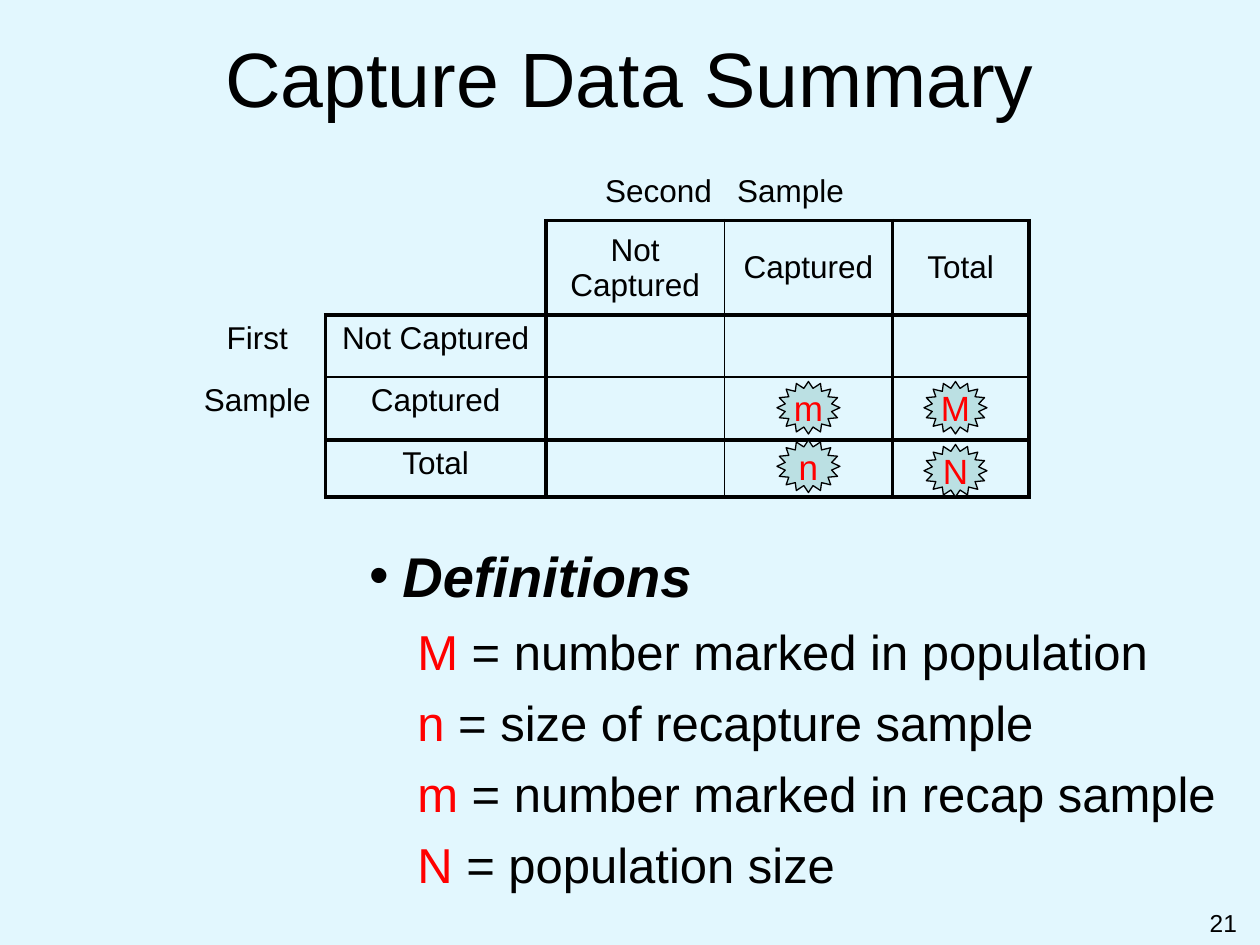
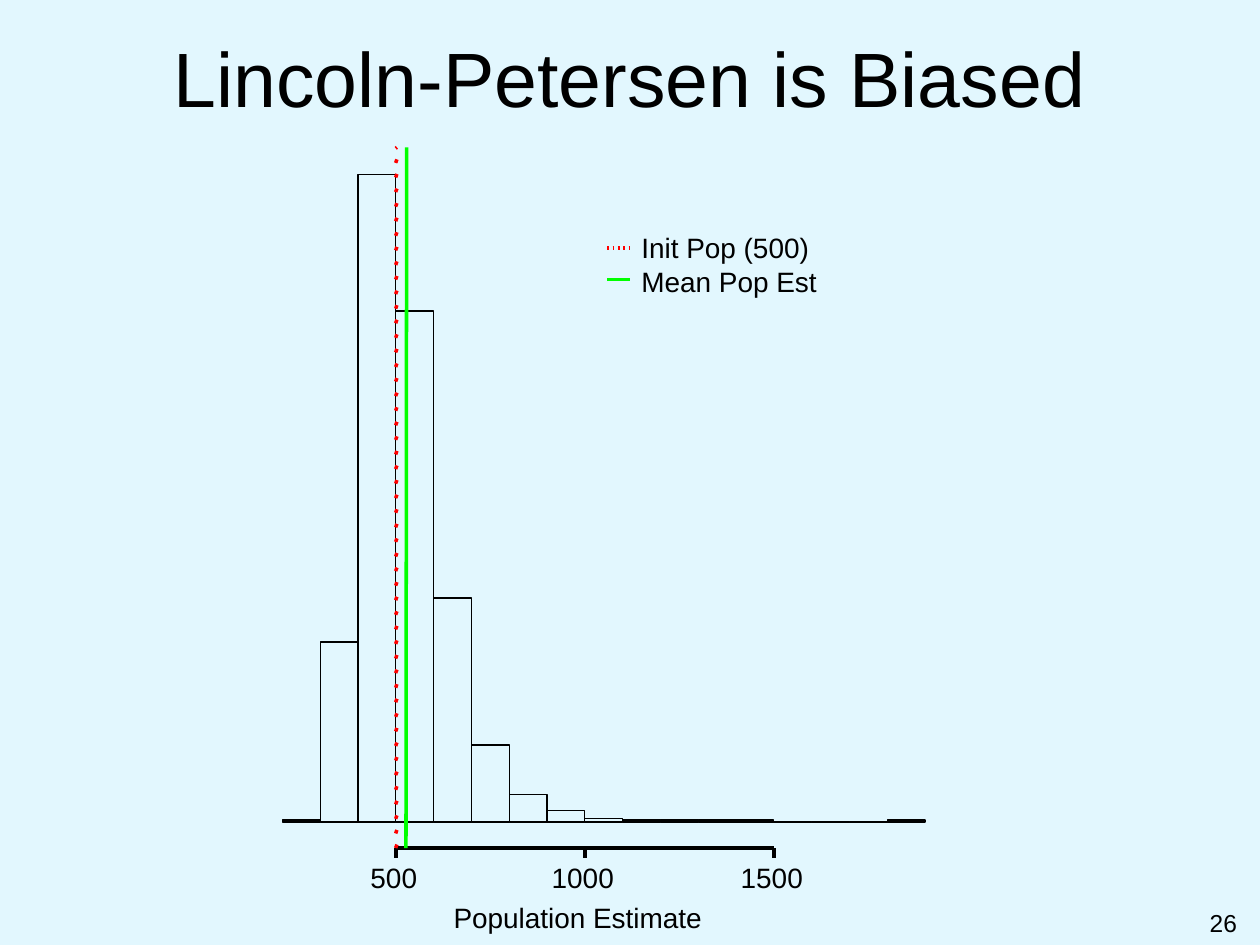
from lxml import etree
from pptx import Presentation
from pptx.dml.color import RGBColor
from pptx.enum.shapes import MSO_CONNECTOR, MSO_SHAPE
from pptx.enum.text import MSO_ANCHOR, MSO_AUTO_SIZE, PP_ALIGN
from pptx.oxml.ns import qn
from pptx.util import Pt

LEFT, CENTER, RIGHT = PP_ALIGN.LEFT, PP_ALIGN.CENTER, PP_ALIGN.RIGHT
TOP, MIDDLE = MSO_ANCHOR.TOP, MSO_ANCHOR.MIDDLE
FIXED_SIZE = MSO_AUTO_SIZE.NONE
STRAIGHT = MSO_CONNECTOR.STRAIGHT
STAR, RECTANGLE = MSO_SHAPE.STAR_16_POINT, MSO_SHAPE.RECTANGLE

FONT = "Arial"
BACKGROUND, BLACK, RED, GREEN, TEAL = "E2F7FE", "000000", "FF0000", "00FF00", "BBE0E3"
PLAIN_TABLE = "{2D5ABB26-0587-4C30-8999-92F81FD0307C}"
TITLE_AND_BODY, TITLE_ONLY = 1, 5


def color(hex_string):
    return RGBColor.from_string(hex_string)


def points(*lengths):
    return [Pt(length) for length in lengths]


def format_font(font, size, hex_string=BLACK):
    font.name, font.size = FONT, Pt(size)
    font.color.rgb = color(hex_string)


class Deck:
    """Holds the shared style and the slide being built."""

    def __init__(self):
        self.presentation = Presentation()
        self.presentation.slide_width, self.presentation.slide_height = points(720, 540)
        fill = self.presentation.slide_master.background.fill
        fill.solid()
        fill.fore_color.rgb = color(BACKGROUND)
        self.slide = None

    def add_slide(self, layout, title, number):
        self.slide = self.presentation.slides.add_slide(
            self.presentation.slide_layouts[layout])
        shape = self.slide.shapes.title
        self.place(shape, 5, 9.5, 710, 68.5)
        self.set_text(shape.text_frame, title, 44, CENTER, MIDDLE)
        self.text(number, 666, 515.5, 48, 24.5, 14, RIGHT, inset=(7.2, 3.6))

    def place(self, shape, left, top, width, height):
        shape.left, shape.top, shape.width, shape.height = points(left, top, width, height)

    def set_text(self, frame, text, size, align=LEFT, anchor=TOP, hex_string=BLACK):
        frame.auto_size = FIXED_SIZE
        frame.vertical_anchor = anchor
        paragraph = frame.paragraphs[0]
        paragraph.text, paragraph.alignment = text, align
        format_font(paragraph.font, size, hex_string)

    def text(self, text, left, top, width, height, size, align=LEFT, inset=(0, 0)):
        frame = self.slide.shapes.add_textbox(*points(left, top, width, height)).text_frame
        frame.word_wrap = True
        frame.margin_left = frame.margin_right = Pt(inset[0])
        frame.margin_top = frame.margin_bottom = Pt(inset[1])
        self.set_text(frame, text, size, align)

    def shape(self, kind, left, top, width, height, fill=None, line_width=0):
        shape = self.slide.shapes.add_shape(kind, *points(left, top, width, height))
        shape.shadow.inherit = False
        if fill:
            shape.fill.solid()
            shape.fill.fore_color.rgb = color(fill)
        else:
            shape.fill.background()
        shape.line.color.rgb = color(BLACK)
        shape.line.width = Pt(line_width)
        return shape

    def star(self, letter, left, top):
        star = self.shape(STAR, left, top, 36, 30, TEAL, 0.75)
        star.adjustments[0] = 0.375
        star.text_frame.word_wrap = False
        self.set_text(star.text_frame, letter, 20, CENTER, MIDDLE, RED)

    def line(self, start, end, hex_string=BLACK, width=0, shapes=None):
        shapes = shapes or self.slide.shapes
        connector = shapes.add_connector(STRAIGHT, *points(*start, *end))
        connector.line.color.rgb = color(hex_string)
        connector.line.width = Pt(width)
        etree.SubElement(connector._element.spPr, qn("a:effectLst"))

    def border(self, cell, side, width):
        line = etree.SubElement(cell._tc.get_or_add_tcPr(), qn("a:ln" + side),
                                w=str(Pt(width)))
        fill = etree.SubElement(line, qn("a:solidFill"))
        etree.SubElement(fill, qn("a:srgbClr"), val=BLACK)

    def table(self, left, top, widths, heights):
        frame = self.slide.shapes.add_table(
            len(heights), len(widths),
            *points(left, top, sum(widths), sum(heights)))
        table = frame.table
        table.first_row = table.horz_banding = False
        table._tbl.tblPr.find(qn("a:tableStyleId")).text = PLAIN_TABLE
        for column, width in zip(table.columns, widths):
            column.width = Pt(width)
        for row, height in zip(table.rows, heights):
            row.height = Pt(height)
        return table

    def body(self, heading, definitions, left, top, width, height):
        shape = self.slide.placeholders[1]
        self.place(shape, left, top, width, height)
        frame = shape.text_frame
        frame.auto_size = FIXED_SIZE
        paragraph = frame.paragraphs[0]
        paragraph.text = heading
        paragraph.space_before = Pt(0)
        self.bullet(paragraph, 18.7, 18.7, "•")
        format_font(paragraph.font, 32)
        paragraph.font.bold = paragraph.font.italic = True
        for symbol, meaning in definitions:
            paragraph = frame.add_paragraph()
            paragraph.level = 1
            paragraph.space_before = Pt(7)
            self.bullet(paragraph, 44.6, 17.3)
            for text, hex_string in ((symbol, RED), (" = " + meaning, BLACK)):
                run = paragraph.add_run()
                run.text = text
                format_font(run.font, 28, hex_string)

    def bullet(self, paragraph, margin, hanging, character=None):
        properties = paragraph._p.get_or_add_pPr()
        properties.set("marL", str(Pt(margin)))
        properties.set("indent", str(-Pt(hanging)))
        if character:
            etree.SubElement(properties, qn("a:buChar"), char=character)
        else:
            etree.SubElement(properties, qn("a:buNone"))


def in_grid(row, column):
    """The ruled area leaves out the outer labels and the empty corner."""
    return 1 <= row <= 4 and 1 <= column <= 4 and (row, column) != (1, 1)


def edge_width(boundary):
    return 1 if boundary == 3 else 2.25


def capture_summary(deck):
    deck.add_slide(TITLE_AND_BODY, "Capture Data Summary", "21")

    # Capture table
    rows = [
        ["", "", "Second", "Sample", ""],
        ["", "", "Not Captured", "Captured", "Total"],
        ["First", "Not Captured", "", "", ""],
        ["Sample", "Captured", "", "", ""],
        ["", "Total", "", "", ""],
    ]
    heading_alignment = {2: RIGHT, 3: LEFT}
    table = deck.table(108, 96, [78, 126, 102, 96, 78], [30, 54, 35.5, 36, 32.5])
    for r, texts in enumerate(rows):
        for c, text in enumerate(texts):
            cell = table.cell(r, c)
            cell.vertical_anchor = MIDDLE if r == 1 else TOP
            paragraph = cell.text_frame.paragraphs[0]
            paragraph.text = text
            paragraph.alignment = heading_alignment.get(c, CENTER) if r == 0 else CENTER
            format_font(paragraph.font, 18)
            edges = [("L", r, c - 1, c), ("R", r, c + 1, c + 1),
                     ("T", r - 1, c, r), ("B", r + 1, c, r + 1)]
            for side, next_row, next_column, boundary in edges:
                if in_grid(r, c) or in_grid(next_row, next_column):
                    deck.border(cell, side, edge_width(boundary))
            cell.fill.background()

    # Symbols over the table
    for letter, left, top in [("N", 528, 254), ("M", 528, 218),
                              ("n", 444, 251.5), ("m", 444, 218)]:
        deck.star(letter, left, top)

    # Definitions
    deck.body("Definitions", [
        ("M", "number marked in population"),
        ("n", "size of recapture sample"),
        ("m", "number marked in recap sample"),
        ("N", "population size"),
    ], 204, 306, 504, 210)


def estimate_x(estimate):
    return 226.2 + (estimate - 500) * 0.216


def biased_estimate(deck):
    deck.add_slide(TITLE_ONLY, "Lincoln-Petersen is Biased", "26")
    axis_y, line_top, baseline = 484.6, 84.2, 469.8

    # Estimate axis
    deck.text("Population Estimate", 259.2, 514.8, 150, 19.5, 16)
    deck.line((estimate_x(500), axis_y), (estimate_x(1500), axis_y))
    for estimate in (500, 1000, 1500):
        x = estimate_x(estimate)
        deck.line((x, axis_y), (x, axis_y + 5.8))
        deck.text(str(estimate), x - 21.2, 491.8, 40, 19.5, 16, CENTER)

    # Histogram, one bar for each 100 from 200 upwards
    bar_heights = [1.2, 103, 370, 292, 128, 44, 15.8, 6.5, 2,
                   1.2, 1.2, 1.2, 1.2, 0, 0, 0, 1.2]
    bar_width = estimate_x(100) - estimate_x(0)
    for index, height in enumerate(bar_heights):
        deck.shape(RECTANGLE, estimate_x(200 + 100 * index), baseline - height,
                   bar_width, height)

    # Initial population (dotted) and mean estimate (solid)
    dots = deck.slide.shapes.add_group_shape().shapes
    for index in range(49):
        y = axis_y - 8.33 * index
        deck.line((226.1, y), (226.8, max(y - 2, line_top)), RED, 2, dots)
    deck.line((232, axis_y), (232.4, line_top), GREEN, 2)

    # Legend
    for index in range(5):
        x = 347 + 3.06 * index
        deck.line((x, 141.8), (x + 0.9, 141.8), RED, 2)
    deck.line((347, 159.8), (360, 159.8), GREEN, 2)
    for text, top in [("Init Pop (500)", 131.8), ("Mean Pop Est", 151.2)]:
        deck.text(text, 366.5, top, 110, 19.5, 16)


def main():
    deck = Deck()
    capture_summary(deck)
    biased_estimate(deck)
    deck.presentation.save("out.pptx")


if __name__ == "__main__":
    main()
